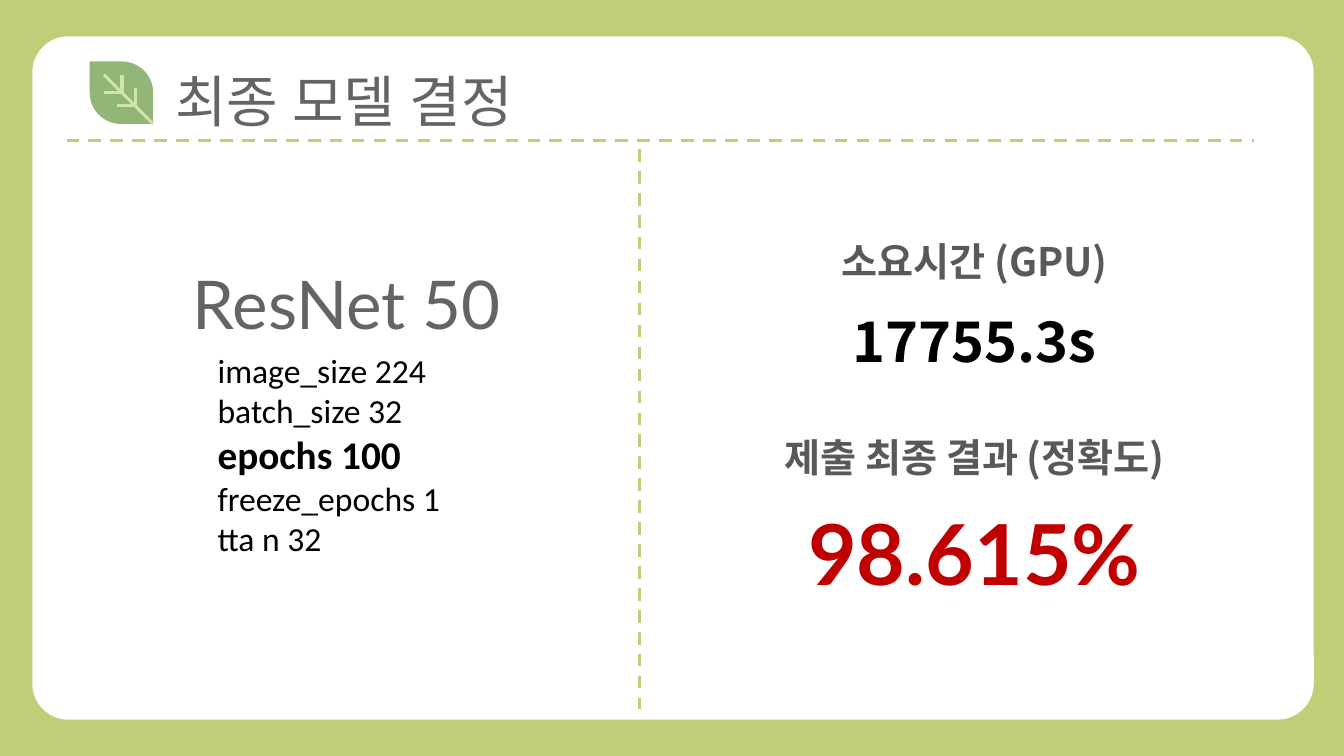
import pptx
import pptx.dml.color
import pptx.enum.dml
import pptx.enum.shapes
import pptx.enum.text
import pptx.oxml
import pptx.oxml.ns
import pptx.util
from pptx.util import Inches

ALIGN = pptx.enum.text.PP_ALIGN
SHAPE = pptx.enum.shapes.MSO_SHAPE

GREEN, LEAF, VEIN = "C0CE78", "91B678", "D2E6A4"
WHITE, BLACK, GRAY, DARK_GRAY, RED = "FFFFFF", "000000", "646464", "595959", "C00000"
KOREAN_FONT = "Noto Sans CJK KR"

TITLE = "최종 모델 결정"
MODEL = "ResNet 50"
# text, size, bold
SETTINGS = [
    ("image_size 224", 24, False),
    ("batch_size 32", 24, False),
    ("epochs 100", 28, True),
    ("freeze_epochs 1", 24, False),
    ("tta n 32", 24, False),
]
# text, top, height, size, font, colour
RESULTS = [
    ("소요시간 (GPU)", 2.31, 0.57, 28, KOREAN_FONT, DARK_GRAY),
    ("17755.3s", 2.99, 0.77, 40, KOREAN_FONT, BLACK),
    ("제출 최종 결과 (정확도)", 4.25, 0.57, 28, KOREAN_FONT, DARK_GRAY),
    ("98.615%", 4.93, 1.11, 60, "Lato", RED),
]
# start x, start y, end x, end y
DIVIDERS = [(0.66, 1.39, 12.44, 1.39), (6.34, 1.48, 6.34, 7.03)]
MAIN_VEIN = (1.03, 0.74, 1.52, 1.23)
SIDE_VEIN_JOINTS = [(1.21, 0.92), (1.34, 1.05)]
SIDE_VEIN_LENGTH = 0.18


def rgb(colour):
    return pptx.dml.color.RGBColor.from_string(colour)


def add_plain_shape(slide, kind, box, colour, adjustments):
    shape = slide.shapes.add_shape(kind, *map(Inches, box))
    shape.shadow.inherit = False
    shape.fill.solid()
    shape.fill.fore_color.rgb = rgb(colour)
    shape.line.fill.background()
    for index, value in enumerate(adjustments):
        shape.adjustments[index] = value


def add_line(slide, ends, colour, dashed=False):
    line = slide.shapes.add_connector(
        pptx.enum.shapes.MSO_CONNECTOR.STRAIGHT, *map(Inches, ends))
    line.line.color.rgb = rgb(colour)
    line.line.width = pptx.util.Pt(2.25)
    if dashed:
        line.line.dash_style = pptx.enum.dml.MSO_LINE.DASH
    effects = pptx.oxml.parse_xml(
        f'<a:effectLst {pptx.oxml.ns.nsdecls("a")}/>')
    line._element.spPr.append(effects)


def write(shape, box, lines, font, colour, align=ALIGN.LEFT):
    """Place a text shape and fill it with (text, size, bold) lines."""
    shape.left, shape.top, shape.width, shape.height = map(Inches, box)
    frame = shape.text_frame
    frame.word_wrap = True
    frame.auto_size = pptx.enum.text.MSO_AUTO_SIZE.NONE
    frame.vertical_anchor = pptx.enum.text.MSO_ANCHOR.TOP
    frame.text = "\n".join(text for text, _, _ in lines)
    for paragraph, (_, size, bold) in zip(frame.paragraphs, lines):
        paragraph.alignment = align
        run = paragraph.runs[0]
        run.font.size = pptx.util.Pt(size)
        run.font.bold = bold
        run.font.color.rgb = rgb(colour)
        run.font.name = font
        east_asian = pptx.oxml.parse_xml(
            f'<a:ea {pptx.oxml.ns.nsdecls("a")} typeface="{font}"/>')
        run._r.get_or_add_rPr().append(east_asian)


def add_text(slide, box, *content):
    write(slide.shapes.add_textbox(0, 0, 0, 0), box, *content)


def main():
    deck = pptx.Presentation()
    deck.slide_width, deck.slide_height = Inches(13.33), Inches(7.5)
    slide = deck.slides.add_slide(deck.slide_layouts[5])
    slide.background.fill.solid()
    slide.background.fill.fore_color.rgb = rgb(GREEN)

    add_plain_shape(slide, SHAPE.ROUNDED_RECTANGLE,
                    (0.32, 0.36, 12.71, 6.78), WHITE, [0.36 / 6.78])
    title = slide.shapes.title
    slide.shapes._spTree.append(title._element)  # bring in front of the panel
    write(title, (1.64, 0.61, 5.92, 0.77), [(TITLE, 40, False)], "Lato", GRAY)

    add_plain_shape(slide, SHAPE.ROUND_2_DIAG_RECTANGLE,
                    (0.89, 0.61, 0.63, 0.62), LEAF, [0, 0.5])
    add_line(slide, MAIN_VEIN, VEIN)
    for x, y in SIDE_VEIN_JOINTS:
        add_line(slide, (x, y - SIDE_VEIN_LENGTH, x, y), VEIN)
        add_line(slide, (x, y, x - SIDE_VEIN_LENGTH, y), VEIN)
    for ends in DIVIDERS:
        add_line(slide, ends, GREEN, dashed=True)

    add_text(slide, (1.16, 2.55, 4.56, 0.91), [(MODEL, 48, False)],
             "Lato", GRAY, ALIGN.CENTER)
    add_text(slide, (2.06, 3.42, 2.75, 2.19), SETTINGS, "Calibri", BLACK)
    for text, top, height, size, font, colour in RESULTS:
        add_text(slide, (6.33, top, 6.67, height), [(text, size, True)],
                 font, colour, ALIGN.CENTER)

    deck.save("out.pptx")


if __name__ == "__main__":
    main()
